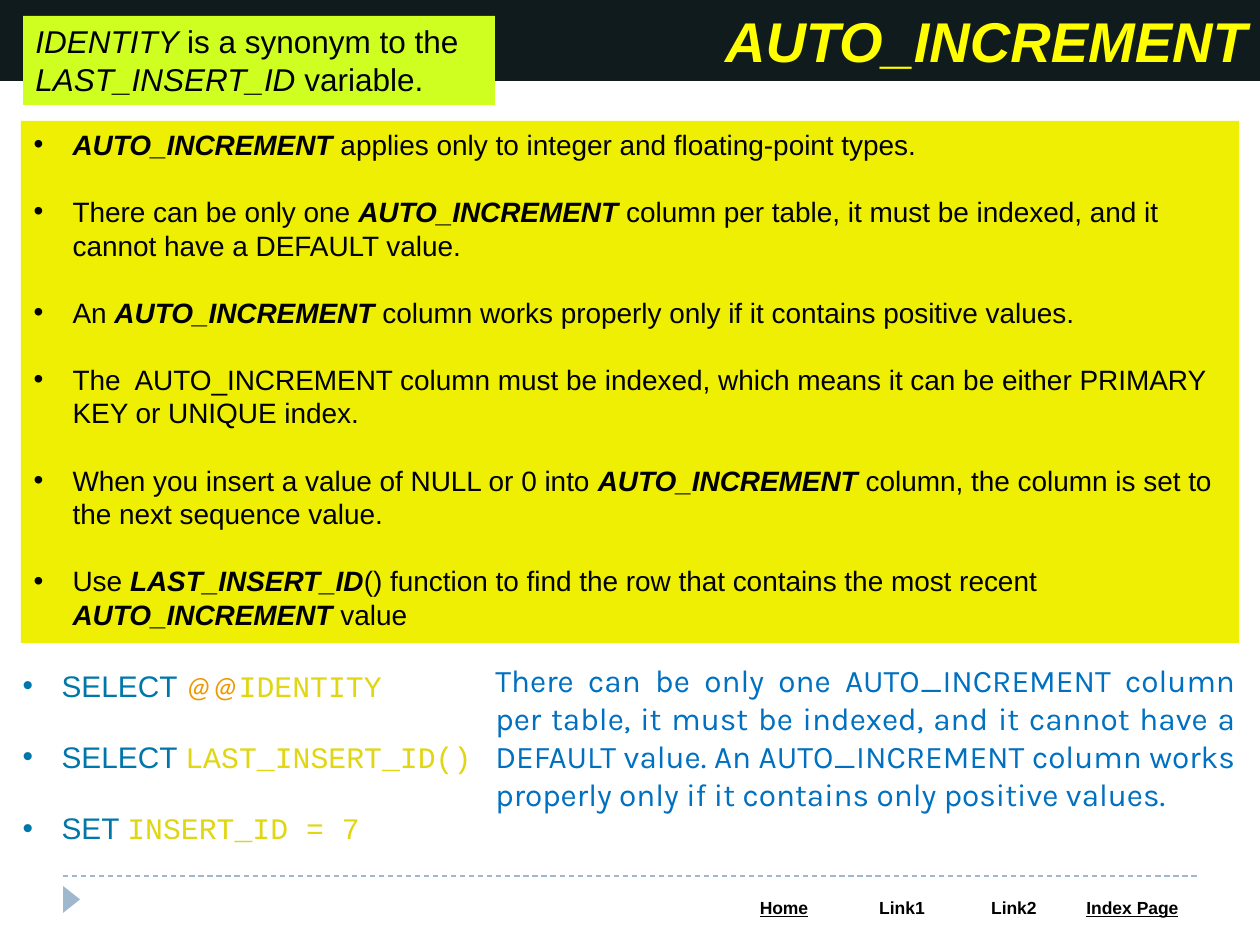
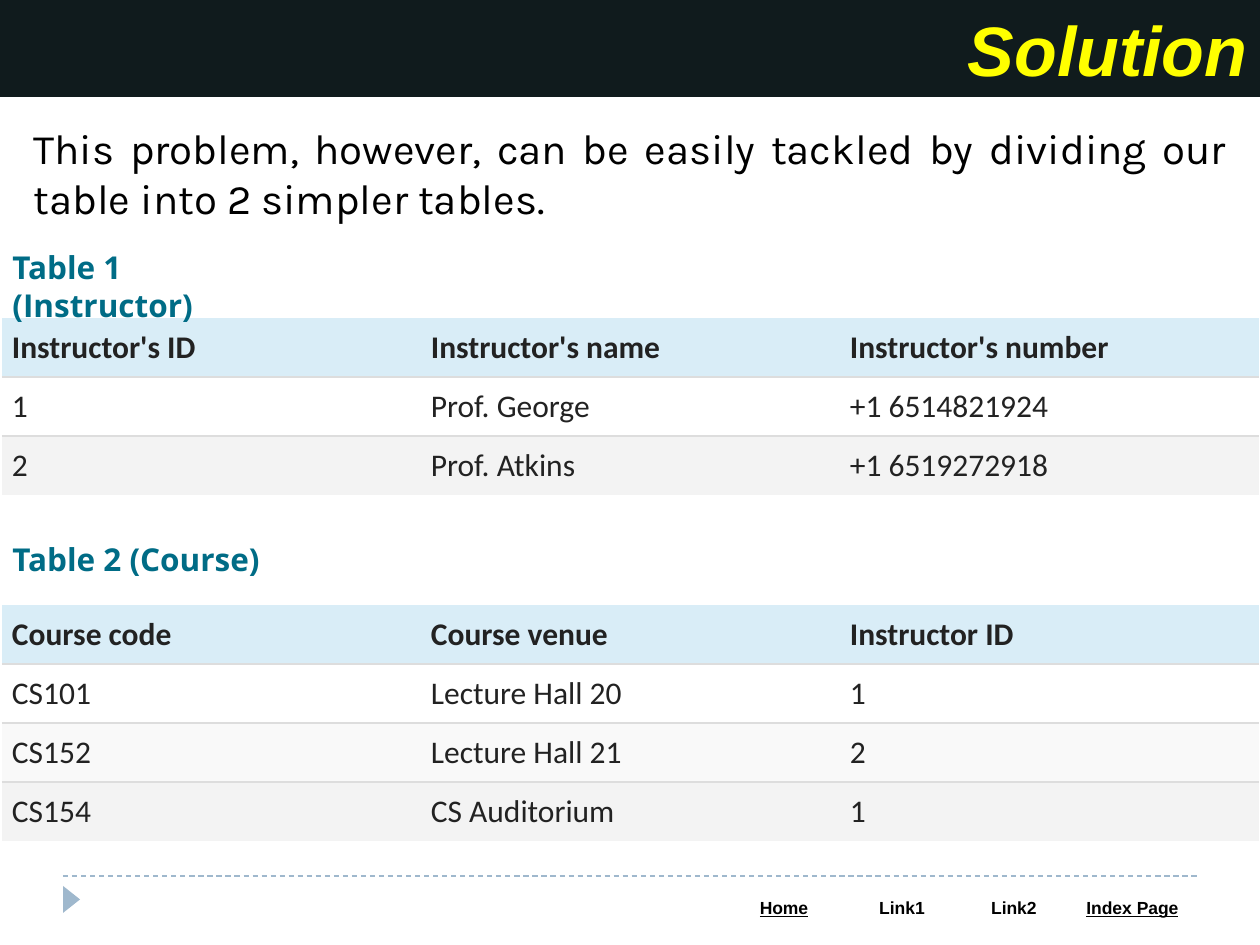
from lxml.etree import SubElement
from pptx import Presentation
from pptx.dml.color import RGBColor
from pptx.enum.dml import MSO_LINE
from pptx.enum.shapes import MSO_CONNECTOR, MSO_SHAPE
from pptx.enum.text import MSO_ANCHOR, MSO_AUTO_SIZE, PP_ALIGN
from pptx.oxml.ns import qn
from pptx.util import Pt

PX = 7257  # EMU in one px, 126 px to the inch
SLIDE_WIDTH, SLIDE_HEIGHT = 1260, 945
LIST_INDENT = 39


class Theme:
    band, title = "101B1D", "FFFF00"
    rules_panel, synonym_panel = "EFEF03", "CFFF21"
    ink, cell_ink, caption = "000000", "222222", "006C86"
    keyword, variable, code, remark = "0077AA", "EE9900", "E0D612", "0070C0"
    footer, grid = "9FB8CD", "DDDDDD"
    header_row, white_row, pale_row, grey_row = "D9EDF7", "FFFFFF", "F9F9F9", "F3F3F3"
    sans, table_font, mono, prose, caption_font = (
        "Arial", "Calibri", "Courier New", "Karla", "Open Sans")
    long_title_size, title_size, lead_size = 32, 40, 24
    text_size, code_size, rule_size, link_size = 18, 17, 16, 10
    leading = 1.2


# A look is font name, colour, bold, italic, underline.
PLAIN = (Theme.sans, Theme.ink, False, False, False)
ITALIC = (Theme.sans, Theme.ink, False, True, False)
STRONG = (Theme.sans, Theme.ink, True, True, False)
TITLE = (Theme.sans, Theme.title, True, True, False)
KEYWORD = (Theme.sans, Theme.keyword, False, False, False)
VARIABLE = (Theme.table_font, Theme.variable, False, True, False)
CODE = (Theme.mono, Theme.code, False, False, False)
REMARK = (Theme.prose, Theme.remark, False, False, False)
LEAD = (Theme.prose, Theme.ink, False, False, False)
CAPTION = (Theme.caption_font, Theme.caption, True, False, False)
HEADER_CELL = (Theme.table_font, Theme.cell_ink, True, False, False)
BODY_CELL = (Theme.table_font, Theme.cell_ink, False, False, False)
LINK = (Theme.sans, Theme.ink, True, False, True)
PLAIN_LINK = (Theme.sans, Theme.ink, True, False, False)


def write(frame, paragraphs, size, align=PP_ALIGN.LEFT, bulleted=False, leading=None):
    """Fill a text frame; each paragraph is a list of (text, look) spans."""
    frame.word_wrap = True
    for number, spans in enumerate(paragraphs):
        para = frame.add_paragraph() if number else frame.paragraphs[0]
        if bulleted:
            properties = para._p.get_or_add_pPr()
            properties.set("marL", str(LIST_INDENT * PX))
            properties.set("indent", str(-LIST_INDENT * PX))
            SubElement(properties, qn("a:buFont"), typeface=Theme.sans)
            SubElement(properties, qn("a:buChar"), char="•")
        para.alignment = align
        para.space_before = Pt(size * Theme.leading if number else 0)
        if leading:
            para.line_spacing = Pt(size * leading)
        for text, (name, color, bold, italic, underline) in spans:
            span = para.add_run()
            span.text = text
            font = span.font
            font.name, font.size = name, Pt(size)
            font.bold, font.italic, font.underline = bold, italic, underline
            font.color.rgb = RGBColor.from_string(color)


def add_grid(page, left, top, columns, row_height, rows, fills, size, align, margin):
    """Add a table with thin lines between its rows and no outer border."""
    frame = page.shapes.add_table(len(rows), len(columns), left * PX, top * PX,
                                  sum(columns) * PX, row_height * len(rows) * PX)
    table = frame.table
    table.first_row = table.horz_banding = False
    for column, width in zip(table.columns, columns):
        column.width = width * PX
    for row_number, (row, fill) in enumerate(zip(rows, fills)):
        table.rows[row_number].height = row_height * PX
        lined = {"L": False, "R": False, "T": row_number > 0,
                 "B": row_number < len(rows) - 1}
        for cell, span in zip(table.rows[row_number].cells, row):
            cell.margin_left = cell.margin_right = margin * PX
            cell.margin_top = cell.margin_bottom = 6 * PX
            cell.vertical_anchor = MSO_ANCHOR.MIDDLE
            write(cell.text_frame, [[span]], size, align)
            properties = cell._tc.get_or_add_tcPr()
            for side, visible in lined.items():
                line = SubElement(properties, qn(f"a:ln{side}"), w=str(Pt(0.75)))
                if visible:
                    paint = SubElement(line, qn("a:solidFill"))
                    SubElement(paint, qn("a:srgbClr"), val=Theme.grid)
                else:
                    SubElement(line, qn("a:noFill"))
            cell.fill.solid()
            cell.fill.fore_color.rgb = RGBColor.from_string(fill)


deck = Presentation()
deck.slide_width, deck.slide_height = SLIDE_WIDTH * PX, SLIDE_HEIGHT * PX
TWO_CONTENT, TITLE_ONLY = deck.slide_layouts[3], deck.slide_layouts[5]

# Shared title band and footer
pages = []
for layout, heading, band_height, size in [
    (TWO_CONTENT, "AUTO_INCREMENT", 81, Theme.long_title_size),
    (TITLE_ONLY, "Solution", 97, Theme.title_size),
]:
    page = deck.slides.add_slide(layout)
    pages.append(page)
    band = page.shapes.title
    band.left, band.top, band.width, band.height = 0, 0, SLIDE_WIDTH * PX, band_height * PX
    band.fill.solid()
    band.fill.fore_color.rgb = RGBColor.from_string(Theme.band)
    band.text_frame.auto_size = MSO_AUTO_SIZE.NONE
    band.text_frame.vertical_anchor = MSO_ANCHOR.MIDDLE
    write(band.text_frame, [[(heading, TITLE)]], size, PP_ALIGN.RIGHT)

    marker = page.shapes.add_shape(MSO_SHAPE.ISOSCELES_TRIANGLE,
                                   58 * PX, 891 * PX, 27 * PX, 17 * PX)
    marker.rotation = 90
    marker.shadow.inherit = False
    marker.fill.solid()
    marker.fill.fore_color.rgb = RGBColor.from_string(Theme.footer)
    marker.line.fill.background()

    divider = page.shapes.add_connector(MSO_CONNECTOR.STRAIGHT,
                                        63 * PX, 876 * PX, 1197 * PX, 876 * PX)
    divider.line.color.rgb = RGBColor.from_string(Theme.footer)
    divider.line.width = Pt(0.75)
    divider.line.dash_style = MSO_LINE.DASH
    SubElement(divider._element.spPr, qn("a:effectLst"))

    links = [("Home", LINK), ("Link1", PLAIN_LINK), ("Link2", PLAIN_LINK),
             ("Index Page", LINK)]
    add_grid(page, 725, 892, [118, 118, 106, 131], 34, [links], [Theme.white_row],
             Theme.link_size, PP_ALIGN.CENTER, 12)

increment_page, solution_page = pages

# AUTO_INCREMENT: the rules and the statements
rules = [
    [("AUTO_INCREMENT", STRONG),
     (" applies only to integer and floating-point types.", PLAIN)],
    [("There can be only one ", PLAIN), ("AUTO_INCREMENT", STRONG),
     (" column per table, it must be indexed, and it cannot have a DEFAULT value.", PLAIN)],
    [("An ", PLAIN), ("AUTO_INCREMENT", STRONG),
     (" column works properly only if it contains positive values.", PLAIN)],
    [("The  AUTO_INCREMENT column must be indexed, which means it can be either "
      "PRIMARY KEY or UNIQUE index.", PLAIN)],
    [("When you insert a value of NULL or 0 into ", PLAIN), ("AUTO_INCREMENT", STRONG),
     (" column, the column is set to the next sequence value.", PLAIN)],
    [("Use ", PLAIN), ("LAST_INSERT_ID", STRONG),
     ("() function to find the row that contains the most recent ", PLAIN),
     ("AUTO_INCREMENT", STRONG), (" value", PLAIN)],
]
statements = [
    [("SELECT ", KEYWORD), ("@@", VARIABLE), ("IDENTITY", CODE)],
    [("SELECT ", KEYWORD), ("LAST_INSERT_ID()", CODE)],
    [("SET ", KEYWORD), ("INSERT_ID = 7", CODE)],
]
rules_body, statements_body = list(increment_page.placeholders)[1:3]
for body, (left, top, width, height), items, size in [
    (rules_body, (21, 121, 1218, 522), rules, Theme.rule_size),
    (statements_body, (10, 661, 485, 193), statements, Theme.code_size),
]:
    body.left, body.top, body.width, body.height = left * PX, top * PX, width * PX, height * PX
    body.text_frame.auto_size = MSO_AUTO_SIZE.NONE
    body.text_frame.vertical_anchor = MSO_ANCHOR.TOP
    write(body.text_frame, items, size, bulleted=True, leading=Theme.leading)
rules_body.fill.solid()
rules_body.fill.fore_color.rgb = RGBColor.from_string(Theme.rules_panel)

synonym = increment_page.shapes.add_textbox(23 * PX, 16 * PX, 472 * PX, 89 * PX)
synonym.fill.solid()
synonym.fill.fore_color.rgb = RGBColor.from_string(Theme.synonym_panel)
write(synonym.text_frame,
      [[("IDENTITY ", ITALIC), ("is a synonym to the ", PLAIN),
        ("LAST_INSERT_ID", ITALIC), (" variable.", PLAIN)]],
      Theme.text_size, leading=Theme.leading)

remark = increment_page.shapes.add_textbox(483 * PX, 655 * PX, 765 * PX, 165 * PX)
write(remark.text_frame,
      [[("There can be only one AUTO_INCREMENT column per table, it must be indexed, "
         "and it cannot have a DEFAULT value. An AUTO_INCREMENT column works properly "
         "only if it contains only positive values.", REMARK)]],
      Theme.text_size, PP_ALIGN.JUSTIFY, leading=Theme.leading)

# Solution: one lead sentence, two captioned tables
lead = solution_page.shapes.add_textbox(21 * PX, 116 * PX, 1218 * PX, 115 * PX)
write(lead.text_frame,
      [[("This problem, however, can be easily tackled by dividing our table into "
         "2 simpler tables.", LEAD)]],
      Theme.lead_size, PP_ALIGN.JUSTIFY, leading=Theme.leading)

instructors = [
    ("Instructor's ID", "Instructor's name", "Instructor's number"),
    ("1", "Prof. George", "+1 6514821924"),
    ("2", "Prof. Atkins", "+1 6519272918"),
]
courses = [
    ("Course code", "Course venue", "Instructor ID"),
    ("CS101", "Lecture Hall 20", "1"),
    ("CS152", "Lecture Hall 21", "2"),
    ("CS154", "CS Auditorium", "1"),
]
for caption, caption_top, table_top, records, fills in [
    ("Table 1 (Instructor)", 242, 318, instructors,
     [Theme.header_row, Theme.white_row, Theme.grey_row]),
    ("Table 2 (Course)", 534, 605, courses,
     [Theme.header_row, Theme.white_row, Theme.pale_row, Theme.grey_row]),
]:
    rows = [[(text, BODY_CELL if number else HEADER_CELL) for text in record]
            for number, record in enumerate(records)]
    add_grid(solution_page, 2, table_top, [419] * 3, 59, rows, fills,
             Theme.text_size, PP_ALIGN.LEFT, 10)
    label = solution_page.shapes.add_textbox(0, caption_top * PX, 311 * PX, 50 * PX)
    write(label.text_frame, [[(caption, CAPTION)]], Theme.text_size, leading=Theme.leading)

deck.save("out.pptx")
